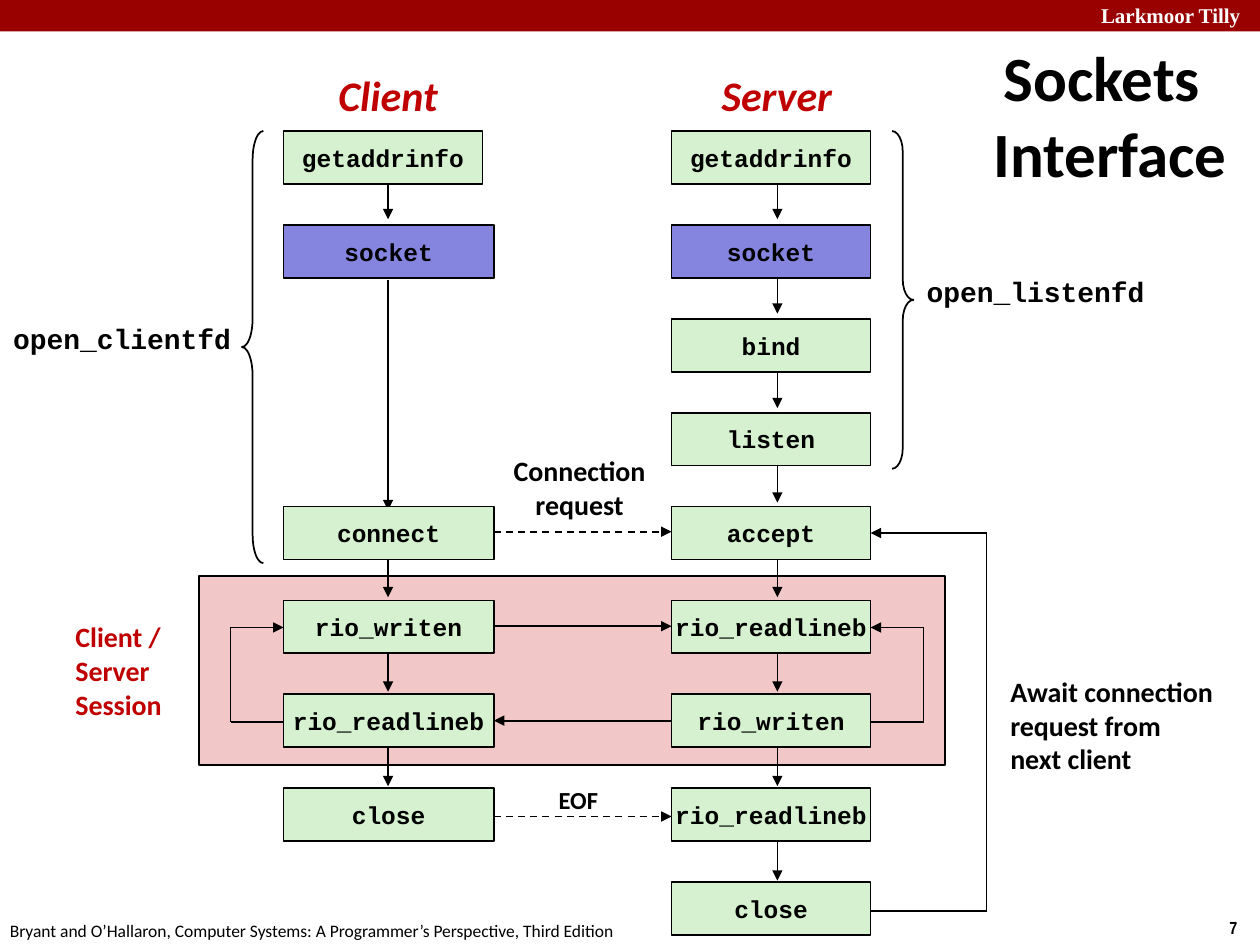
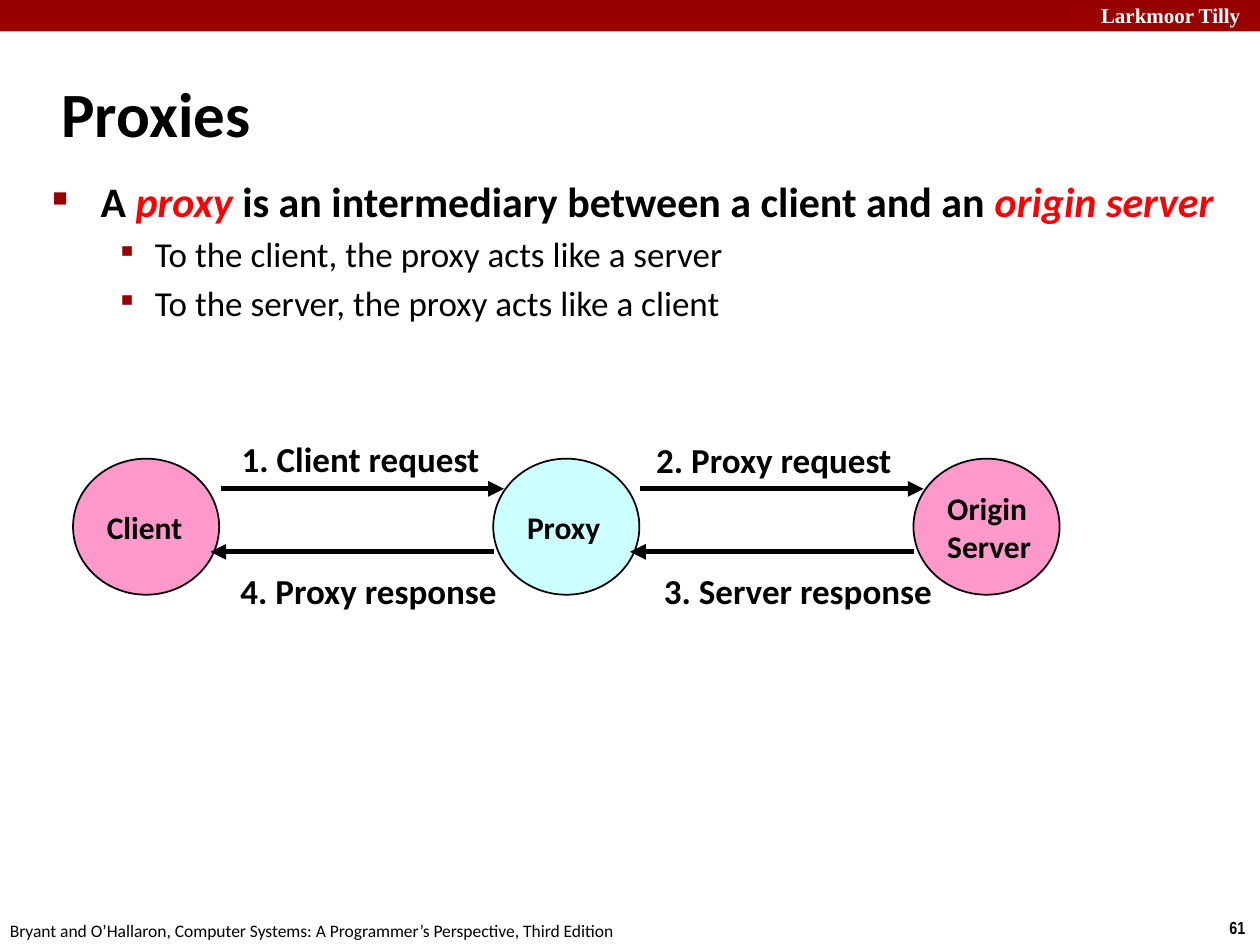
import pptx
import pptx.util
import pptx.dml.color
import pptx.enum.dml
import pptx.enum.shapes
import pptx.enum.text
import pptx.oxml
import pptx.oxml.ns

Inches = pptx.util.Inches
Pt = pptx.util.Pt
RGBColor = pptx.dml.color.RGBColor
SHAPE = pptx.enum.shapes.MSO_SHAPE
ALIGN = pptx.enum.text.PP_ALIGN
ANCHOR = pptx.enum.text.MSO_ANCHOR
FIT = pptx.enum.text.MSO_AUTO_SIZE

BLACK = RGBColor(0, 0, 0)
WHITE = RGBColor(255, 255, 255)
BAND = RGBColor(0x99, 0, 0)
CRIMSON = RGBColor(0xC0, 0, 0)
RED = RGBColor(255, 0, 0)
GREEN = RGBColor(0xD5, 0xF1, 0xCF)
VIOLET = RGBColor(0x85, 0x85, 0xE0)
ROSE = RGBColor(0xF1, 0xC7, 0xC7)
PINK = RGBColor(0xFF, 0x99, 0xCC)
CYAN = RGBColor(0xCC, 0xFF, 0xFF)

BODY = "Calibri"
CODE = "Courier New"
FOOT = "Bryant and O’Hallaron, Computer Systems: A Programmer’s Perspective, Third Edition"

# Flow chart grid: nine rows, two columns
TOP, PITCH, HIGH = 1.04, 0.745, 0.42
LEFT, WIDE = 2.25, 1.67
RIGHT, SLIM = 5.33, 1.58
EDGE = RIGHT + SLIM
LEFT_MID, RIGHT_MID = 3.08, 6.17


def add_node(parent, tag, **attrs):
    """Append a drawing element with attributes and return it."""
    node = pptx.oxml.parse_xml("<a:%s %s/>" % (tag, pptx.oxml.ns.nsdecls("a")))
    for key, value in attrs.items():
        node.set(key, str(value))
    parent.append(node)
    return node


def write(frame, text, size, font=BODY, color=BLACK, bold=True, italic=False, align=ALIGN.LEFT):
    """Fill a text frame, one paragraph a line, in a single style."""
    frame.text = text
    for para in frame.paragraphs:
        para.alignment = align
        style = para.font
        style.size, style.name = Pt(size), font
        style.bold, style.italic = bold, italic
        style.color.rgb = color


def label(slide, at, text, size, wrap=False, anchor=ANCHOR.MIDDLE, fit=True, **style):
    """Add a text box and return its frame."""
    frame = slide.shapes.add_textbox(*map(Inches, at)).text_frame
    write(frame, text, size, **style)
    frame.word_wrap = wrap
    frame.vertical_anchor = anchor
    frame.auto_size = FIT.SHAPE_TO_FIT_TEXT if fit else FIT.NONE
    return frame


def shape(slide, kind, at, fill=None, outline=True):
    """Add a flat preset shape."""
    item = slide.shapes.add_shape(kind, *map(Inches, at))
    item.shadow.inherit = False
    if fill is None:
        item.fill.background()
    else:
        item.fill.solid()
        item.fill.fore_color.rgb = fill
    if outline:
        item.line.color.rgb = BLACK
        item.line.width = Pt(1)
    else:
        item.line.fill.background()
    return item


def node(slide, kind, at, fill, text, size, **style):
    """Add a filled shape with unwrapped text in the middle."""
    frame = shape(slide, kind, at, fill).text_frame
    write(frame, text, size, **style)
    frame.word_wrap = False
    frame.vertical_anchor = ANCHOR.MIDDLE


def route(slide, *points, width=1, dash=False):
    """Join points with straight lines, the last one ending in an arrow."""
    for start, end in zip(points, points[1:]):
        link = slide.shapes.add_connector(
            pptx.enum.shapes.MSO_CONNECTOR.STRAIGHT, *map(Inches, start + end))
        link.line.color.rgb = BLACK
        link.line.width = Pt(width)
        if dash:
            link.line.dash_style = pptx.enum.dml.MSO_LINE.DASH
        if end == points[-1]:
            add_node(link.line._get_or_add_ln(), "tailEnd", type="triangle")
        add_node(link._element.spPr, "effectLst")


def brace(slide, kind, at, curve):
    """Add a curly brace."""
    shape(slide, kind, at).adjustments[0] = curve


def indent(para, margin, hang):
    """Give a paragraph a left margin and a hanging first line."""
    props = para._p.get_or_add_pPr()
    props.set("marL", str(Inches(margin)))
    props.set("indent", str(-Inches(hang)))
    return props


def bullet(para, margin, hang, mark, scale, gap):
    """Give a paragraph a coloured bullet and space above."""
    para.space_before = Pt(gap)
    props = indent(para, margin, hang)
    add_node(add_node(props, "buClr"), "srgbClr", val=BAND)
    add_node(props, "buSzPct", val=scale * 1000)
    add_node(props, "buFont", typeface=CODE)
    add_node(props, "buChar", char=mark)


def title(slide, at, text, align=ALIGN.LEFT):
    """Add the slide title."""
    frame = label(slide, at, text, 36, wrap=True, fit=False, align=align)
    indent(frame.paragraphs[0], 0.13, 0.13)


def start(deck, number):
    """Add a slide with the band, the footer and the page number."""
    slide = deck.slides.add_slide(deck.slide_layouts[6])
    shape(slide, SHAPE.RECTANGLE, (0, 0, 10, 0.25), BAND, outline=False)
    label(slide, (8.64, -0.03, 1.43, 0.3), "Larkmoor Tilly", 12, wrap=True,
          anchor=ANCHOR.TOP, font="Times New Roman", color=WHITE)
    label(slide, (9.66, 7.23, 0.34, 0.27), number, 10, anchor=ANCHOR.TOP, font="Arial Narrow")
    label(slide, (-0.02, 7.25, 5.08, 0.27), FOOT, 10, anchor=ANCHOR.TOP, bold=False)
    return slide


def flow(slide):
    """Draw the calls of client and server and the arrows between them."""
    client = {0: "getaddrinfo", 1: "socket", 4: "connect", 5: "rio_writen",
              6: "rio_readlineb", 7: "close"}
    server = dict(enumerate(["getaddrinfo", "socket", "bind", "listen", "accept",
                             "rio_readlineb", "rio_writen", "rio_readlineb", "close"]))

    # Downward steps
    route(slide, (LEFT_MID, 2.22), (LEFT_MID, 4.05))
    for x, rows in ((LEFT_MID, (0, 4, 5, 6)), (RIGHT_MID, range(8))):
        for row in rows:
            y = 1.41 + 0.75 * row
            route(slide, (x, y), (x, y + 0.33))

    # Calls
    for x, wide, calls in ((LEFT, WIDE, client), (RIGHT, SLIM, server)):
        for row, name in calls.items():
            width = wide if row else SLIM
            fill = VIOLET if name == "socket" else GREEN
            node(slide, SHAPE.RECTANGLE, (x, TOP + PITCH * row, width, HIGH), fill,
                 name, 14, font=CODE, align=ALIGN.CENTER)

    # Messages across
    near = LEFT + WIDE
    for y in (4.22, 6.48):
        route(slide, (near, y), (RIGHT, y), dash=True)
    route(slide, (near, 4.97), (RIGHT, 4.97))
    route(slide, (RIGHT, 5.72), (near, 5.72))

    # Loops back
    for x, turn, low, high in ((LEFT, 1.83, 5.73, 4.98), (EDGE, 7.33, 5.73, 4.98),
                               (EDGE, 7.83, 7.23, 4.23)):
        route(slide, (x, low), (turn, low), (turn, high), (x, high))


def sockets(deck):
    """Build the slide on the sockets interface."""
    slide = start(deck, "7")
    shape(slide, SHAPE.RECTANGLE, (1.58, 4.57, 5.92, 1.5), ROSE)
    flow(slide)
    title(slide, (7.58, 0.25, 2.33, 1.31), "Sockets Interface", ALIGN.CENTER)
    for at, text in (((2.58, 0.5, 1, 0.5), "Client"), ((5.62, 0.5, 1.09, 0.5), "Server")):
        label(slide, at, text, 24, color=CRIMSON, italic=True, align=ALIGN.CENTER)
    label(slide, (0.5, 4.87, 0.92, 0.9), "Client / Server\nSession", 16, wrap=True, color=CRIMSON)
    label(slide, (3.97, 3.55, 1.26, 0.64), "Connection\nrequest", 16, align=ALIGN.CENTER)
    label(slide, (4.33, 6.18, 0.52, 0.34), "EOF", 14, align=ALIGN.CENTER)
    label(slide, (7.92, 5.3, 1.83, 0.91), "Await connection\nrequest from\nnext client", 16)
    brace(slide, SHAPE.LEFT_BRACE, (1.92, TOP, 0.17, 3.43), 1.33)
    brace(slide, SHAPE.RIGHT_BRACE, (7.08, TOP, 0.17, 2.68), 0.96)
    for x, y, text in ((0, 2.5, "open_clientfd"), (7.25, 2.13, "open_listenfd")):
        label(slide, (x, y, 1.94, 0.37), text, 16, font=CODE, align=ALIGN.CENTER)


def points(slide):
    """Write the bullet list on proxies."""
    frame = label(slide, (0.32, 1.34, 9.52, 4.33),
                  "\nTo the client, the proxy acts like a server\n"
                  "To the server, the proxy acts like a client",
                  20, wrap=True, anchor=ANCHOR.TOP, fit=False, bold=False)
    lead, *rest = frame.paragraphs
    lead.font.size, lead.font.bold = Pt(24), True
    for text, stress in (("A ", False), ("proxy ", True),
                         ("is an intermediary between a client and an ", False),
                         ("origin server", True)):
        run = lead.add_run()
        run.text = text
        run.font.size, run.font.bold, run.font.name = Pt(24), True, BODY
        run.font.italic = stress
        run.font.color.rgb = RED if stress else BLACK
    bullet(lead, 0.38, 0.38, "■", 60, 4.8)
    for para in rest:
        para.level = 1
        bullet(para, 0.81, 0.31, "▪", 110, 4)


def proxies(deck):
    """Build the slide on proxies."""
    slide = start(deck, "61")
    title(slide, (0.39, 0.48, 8.3, 0.83), "Proxies")
    points(slide)
    parties = (("Client", PINK), ("Proxy", CYAN), ("Origin\nServer", PINK))
    for spot, (text, fill) in enumerate(parties):
        node(slide, SHAPE.OVAL, (0.58 + 3.335 * spot, 3.64, 1.16, 1.08), fill, text, 18)
    for x in (1.75, 5.08):
        route(slide, (x, 3.88), (x + 2.25, 3.88), width=3)
        route(slide, (x + 2.17, 4.38), (x - 0.08, 4.38), width=3)
    for x, y, wide, text in ((1.82, 3.42, 2.11, "1. Client request"),
                             (5.11, 3.43, 2.1, "2. Proxy request"),
                             (5.17, 4.47, 2.35, "3. Server response"),
                             (1.81, 4.47, 2.27, "4. Proxy response")):
        label(slide, (x, y, wide, 0.44), text, 20, anchor=ANCHOR.TOP)


def main():
    """Build and save the deck."""
    deck = pptx.Presentation()
    deck.slide_width, deck.slide_height = Inches(10), Inches(7.5)
    sockets(deck)
    proxies(deck)
    deck.save("out.pptx")


main()
